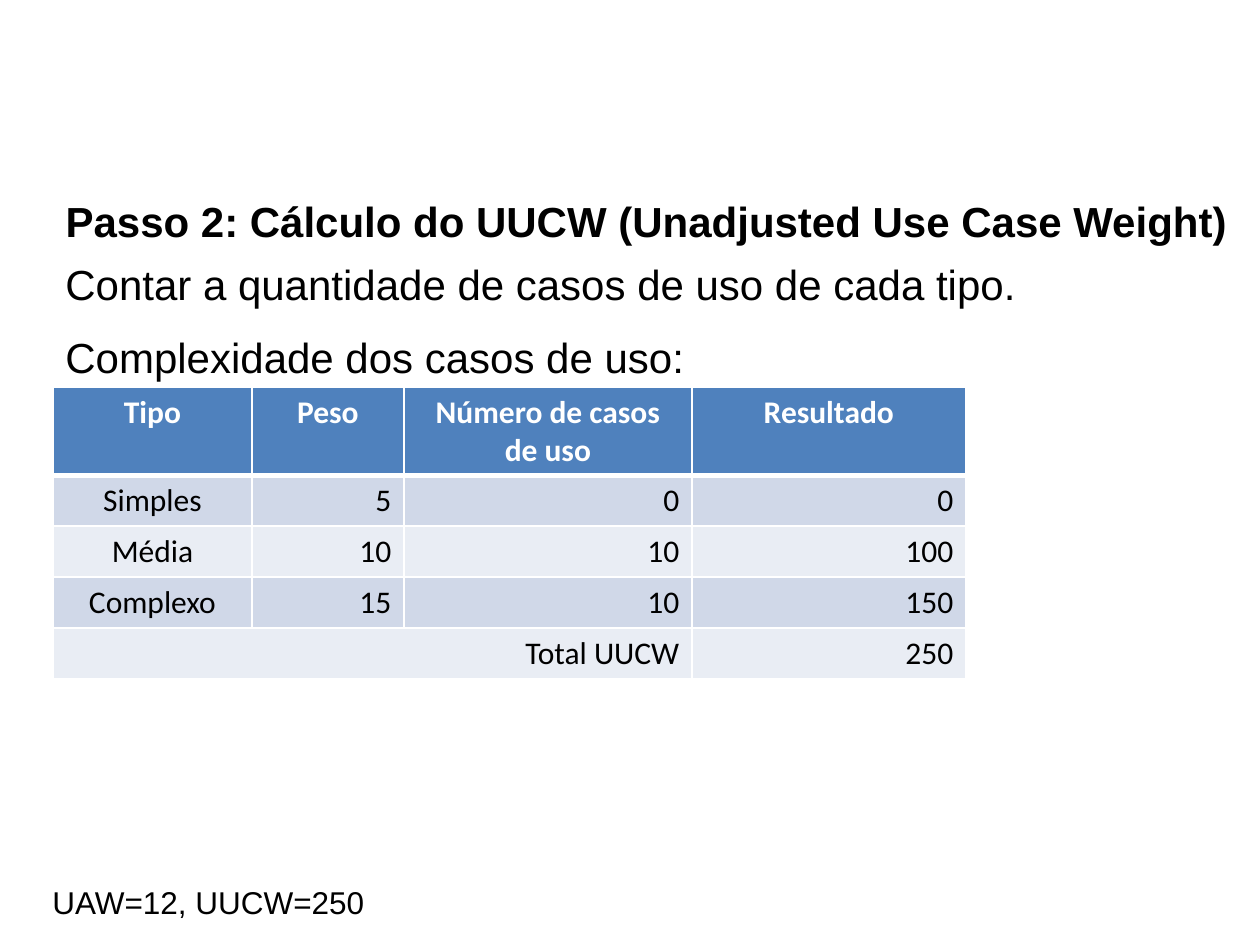
from lxml import etree
from pptx import Presentation
from pptx.dml.color import RGBColor
from pptx.enum.text import MSO_ANCHOR, MSO_AUTO_SIZE, PP_ALIGN
from pptx.oxml.ns import qn
from pptx.util import Inches, Pt

PX = Inches(1) / 126
CENTER, RIGHT, LEFT, JUSTIFY = PP_ALIGN.CENTER, PP_ALIGN.RIGHT, PP_ALIGN.LEFT, PP_ALIGN.JUSTIFY
TOP = MSO_ANCHOR.TOP
FIXED, GROW = MSO_AUTO_SIZE.NONE, MSO_AUTO_SIZE.SHAPE_TO_FIT_TEXT

BLACK, WHITE = "000000", "FFFFFF"
HEADER_FILL = "4F81BD"
BAND_FILLS = ("D0D8E8", "E9EDF4")

COLUMN_WIDTHS = (199, 152, 288, 274)
HEADER_HEIGHT, ROW_HEIGHT = 88, 51
ROWS = (
    ("Tipo", "Peso", "Número de casos de uso", "Resultado"),
    ("Simples", "5", "0", "0"),
    ("Média", "10", "10", "100"),
    ("Complexo", "15", "10", "150"),
    ("Total UUCW", "", "", "250"),
)


def px(length):
    return round(length * PX)


def color(value):
    return RGBColor.from_string(value)


def write(frame, text, size, alignment, font="Arial", fill=BLACK, bold=False):
    """Set the text of a frame as one formatted paragraph."""
    paragraph = frame.paragraphs[0]
    paragraph.text = text
    paragraph.alignment = alignment
    paragraph.font.name = font
    paragraph.font.size = Pt(size)
    paragraph.font.bold = bold
    paragraph.font.color.rgb = color(fill)
    return paragraph


def place_title(slide, text, left, top, width, height):
    title = slide.shapes.title
    title.left, title.top, title.width, title.height = map(px, (left, top, width, height))
    frame = title.text_frame
    frame.word_wrap = True
    frame.auto_size = FIXED
    frame.vertical_anchor = TOP
    write(frame, text, 24, LEFT, bold=True)


def add_text(slide, text, size, left, top, width, height):
    frame = slide.shapes.add_textbox(*map(px, (left, top, width, height))).text_frame
    frame.word_wrap = True
    frame.auto_size = GROW
    write(frame, text, size, JUSTIFY).space_after = Pt(9)


def set_borders(cell, bottom_width):
    """Draw white cell borders, 1 pt except for the bottom; call before filling."""
    properties = cell._tc.get_or_add_tcPr()
    for side, width in (("L", 1), ("R", 1), ("T", 1), ("B", bottom_width)):
        line = etree.SubElement(properties, qn(f"a:ln{side}"), w=str(Pt(width)))
        fill = etree.SubElement(line, qn("a:solidFill"))
        etree.SubElement(fill, qn("a:srgbClr"), val=WHITE)


def format_cell(cell, text, row, column):
    header = row == 0
    set_borders(cell, 3 if header else 1)
    cell.fill.solid()
    cell.fill.fore_color.rgb = color(HEADER_FILL if header else BAND_FILLS[(row - 1) % 2])
    centered = header or (column == 0 and row < len(ROWS) - 1)
    write(cell.text_frame, text, 18, CENTER if centered else RIGHT, "Calibri",
          WHITE if header else BLACK, header)


def add_weight_table(slide, left, top):
    heights = [HEADER_HEIGHT] + [ROW_HEIGHT] * (len(ROWS) - 1)
    size = sum(COLUMN_WIDTHS), sum(heights)
    table = slide.shapes.add_table(len(ROWS), len(COLUMN_WIDTHS),
                                   *map(px, (left, top, *size))).table
    for column, width in zip(table.columns, COLUMN_WIDTHS):
        column.width = px(width)
    for row, height in zip(table.rows, heights):
        row.height = px(height)
    for row, texts in enumerate(ROWS):
        for column, text in enumerate(texts):
            format_cell(table.cell(row, column), text, row, column)
    last = len(ROWS) - 1
    table.cell(last, 0).merge(table.cell(last, 2))


def main():
    presentation = Presentation()
    presentation.slide_width, presentation.slide_height = px(1260), px(945)
    slide = presentation.slides.add_slide(presentation.slide_layouts[5])
    place_title(slide, "Passo 2: Cálculo do UUCW (Unadjusted Use Case Weight)",
                53, 189, 1200, 63)
    add_text(slide, "Contar a quantidade de casos de uso de cada tipo.",
             24, 53, 252, 1144, 63)
    add_weight_table(slide, 53, 387)
    add_text(slide, "Complexidade dos casos de uso:", 24, 53, 325, 1144, 63)
    add_text(slide, "UAW=12, UUCW=250", 18, 40, 877, 1144, 50)
    presentation.save("out.pptx")


if __name__ == "__main__":
    main()
